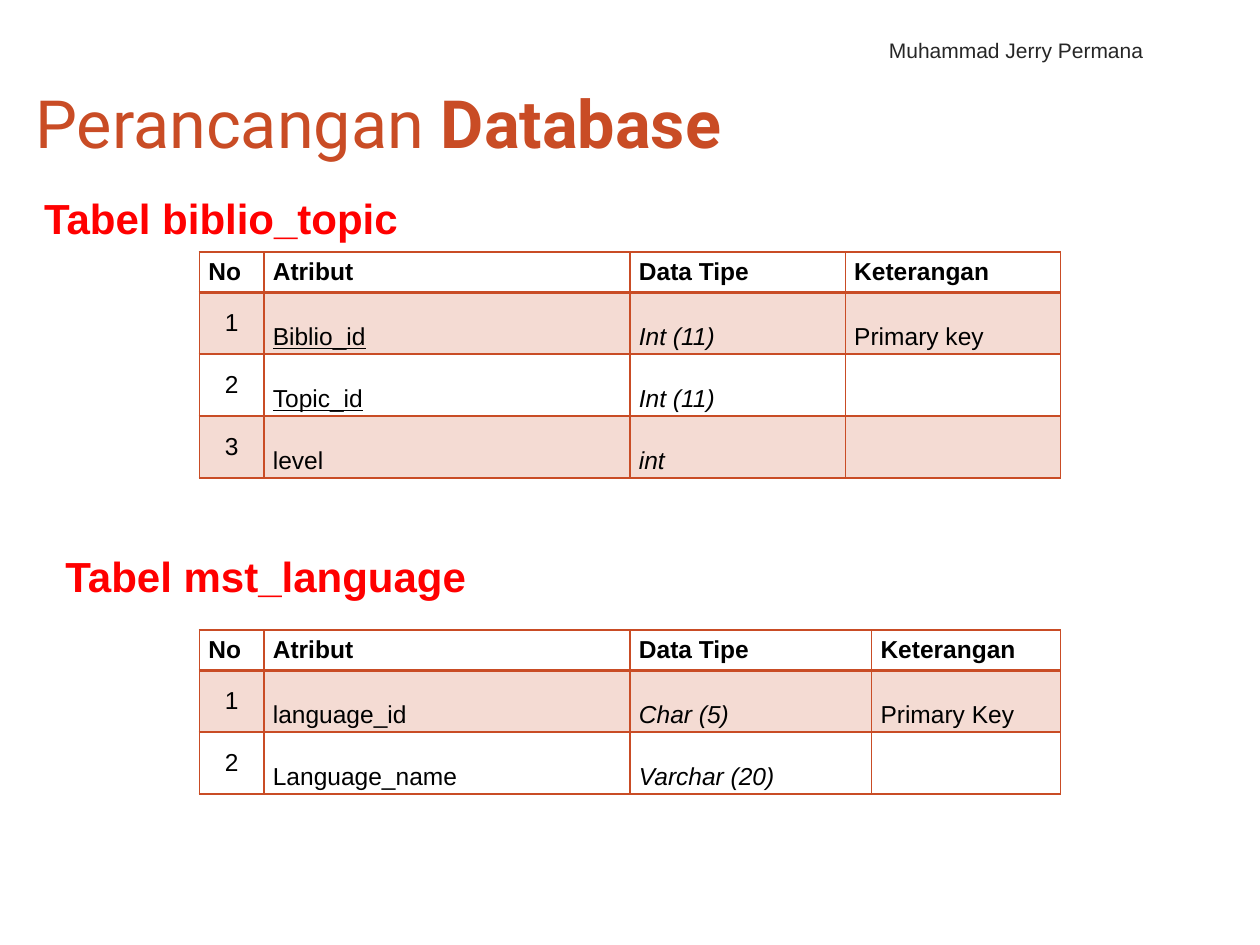
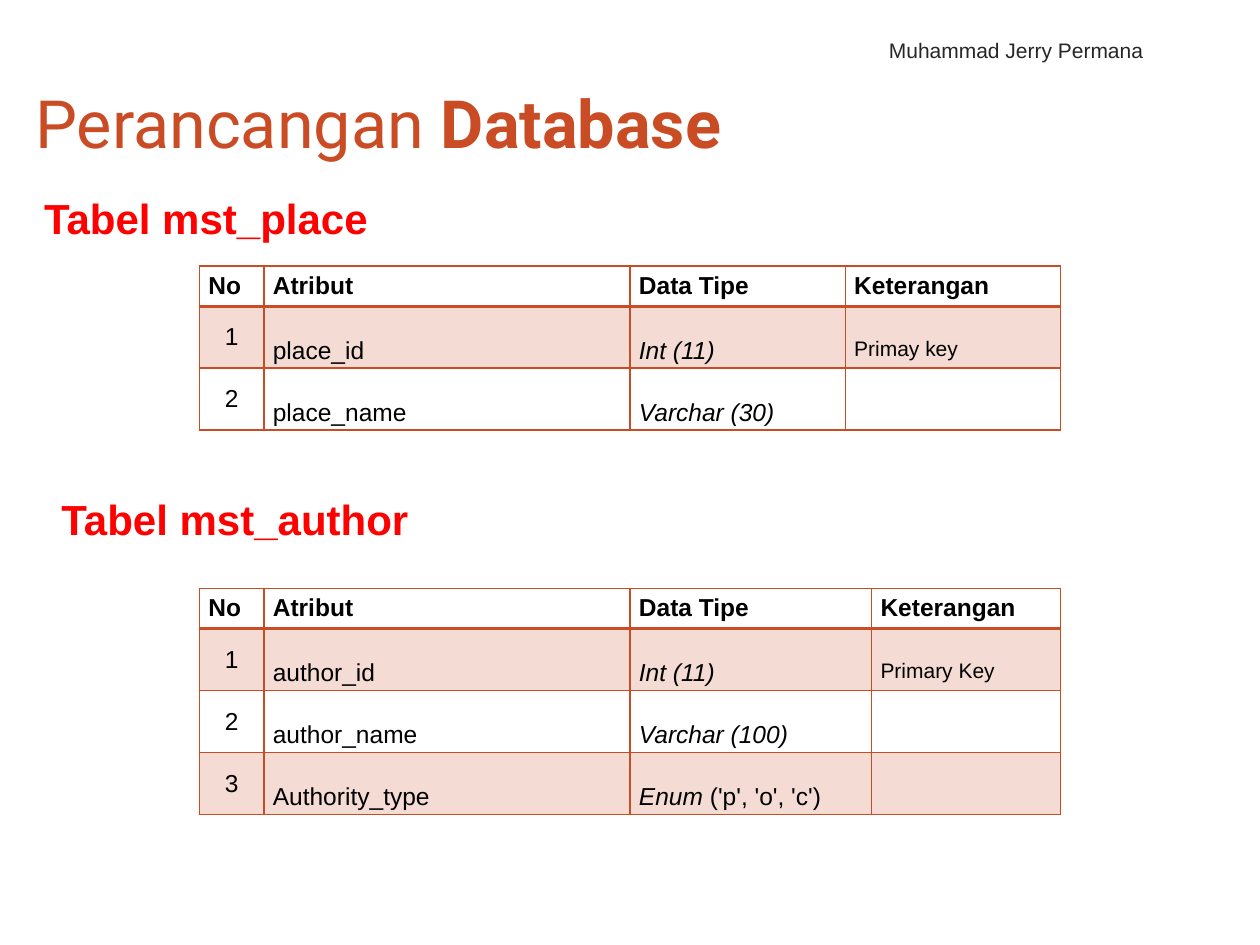
from lxml.etree import SubElement
from pptx import Presentation
from pptx.dml.color import RGBColor
from pptx.enum.text import MSO_ANCHOR, MSO_AUTO_SIZE, PP_ALIGN
from pptx.oxml.ns import qn
from pptx.util import Cm, Pt

ACCENT, RED, BLACK, GREY = "C94C25", "FF0000", "000000", "262626"
TITLE = ("Perancangan ", "Database")
AUTHOR = "Muhammad Jerry Permana"
HEADER = ("No", "Atribut", "Data Tipe", "Keterangan")
UNDERLINED = {"Biblio_id", "Topic_id"}

# Everything below is in centimetres
TABLE_LEFT = 4.02
HEADER_HEIGHT, ROW_HEIGHT = 0.81, 1.25
EVEN_COLUMNS = (1.3, 7.38, 4.34, 4.34)
WIDE_TYPE_COLUMNS = (1.3, 7.38, 4.87, 3.81)

# Each row: attribute, data type (italic part, upright part), remark
SLIDES = [
    {"remark_size": 14, "sections": [
        {"heading": "Tabel biblio_topic", "at": (0.64, 3.25),
         "table_top": 5.08, "columns": EVEN_COLUMNS,
         "rows": [("Biblio_id", ("Int (11)",), "Primary key"),
                  ("Topic_id", ("Int (11)",), ""),
                  ("level", ("int",), "")]},
        {"heading": "Tabel mst_language", "at": (1.07, 10.46),
         "table_top": 12.7, "columns": WIDE_TYPE_COLUMNS,
         "rows": [("language_id", ("Char (5)",), "Primary Key"),
                  ("Language_name", ("Varchar (20)",), "")]},
    ]},
    {"remark_size": 12, "sections": [
        {"heading": "Tabel mst_place", "at": (0.64, 3.25),
         "table_top": 5.36, "columns": EVEN_COLUMNS,
         "rows": [("place_id", ("Int (11)",), "Primay key"),
                  ("place_name", ("Varchar (30)",), "")]},
        {"heading": "Tabel mst_author", "at": (0.99, 9.32),
         "table_top": 11.86, "columns": WIDE_TYPE_COLUMNS,
         "rows": [("author_id", ("Int (11)",), "Primary Key"),
                  ("author_name", ("Varchar (100)",), ""),
                  ("Authority_type", ("Enum ", "('p', 'o', 'c')"), "")]},
    ]},
]


def rgb(color):
    return RGBColor.from_string(color)


def add_span(para, text, size, color=BLACK, font="Arial",
             bold=False, italic=False, underline=False):
    span = para.add_run()
    span.text = text
    span.font.name, span.font.size = font, Pt(size)
    span.font.color.rgb = rgb(color)
    span.font.bold, span.font.italic = bold, italic
    span.font.underline = underline


def add_box(page, left, top, width, height, anchor=MSO_ANCHOR.TOP):
    frame = page.shapes.add_textbox(
        Cm(left), Cm(top), Cm(width), Cm(height)).text_frame
    frame.word_wrap = True
    frame.vertical_anchor = anchor
    return frame


def add_title_and_author(page):
    frame = add_box(page, 0.2, 1.35, 15.67, 2.21, MSO_ANCHOR.MIDDLE)
    frame.margin_left, frame.margin_right = Cm(0.51), 0
    for text, bold in zip(TITLE, (False, True)):
        add_span(frame.paragraphs[0], text, 38, ACCENT, "Roboto", bold)

    frame = add_box(page, 15.88, 0.48, 7.42, 0.91, MSO_ANCHOR.BOTTOM)
    frame.paragraphs[0].alignment = PP_ALIGN.RIGHT
    add_span(frame.paragraphs[0], AUTHOR, 12, GREY)


def add_heading(page, text, left, top):
    frame = add_box(page, left, top, 22.66, 1.6)
    frame.auto_size = MSO_AUTO_SIZE.SHAPE_TO_FIT_TEXT
    frame.paragraphs[0].line_spacing = 1.5
    add_span(frame.paragraphs[0], text, 24, RED, bold=True)


def style_cell(cell, row):
    """Draw the borders, then tint the odd body rows."""
    properties = cell._tc.get_or_add_tcPr()
    for side in "LRTB":
        heavy = (row, side) in {(0, "B"), (1, "T")}
        line = SubElement(properties, qn(f"a:ln{side}"),
                          w=str(Pt(2 if heavy else 1)))
        SubElement(SubElement(line, qn("a:solidFill")),
                   qn("a:srgbClr"), val=ACCENT)
    if row % 2:
        cell.fill.solid()
        cell.fill.fore_color.rgb = rgb(ACCENT)
        tint = properties.find(f"{qn('a:solidFill')}/{qn('a:srgbClr')}")
        SubElement(tint, qn("a:alpha"), val="20000")
    else:
        cell.fill.background()


def prepare_cell(cell, roomy):
    """Set margins and spacing; return the paragraph to write in."""
    cell.vertical_anchor = MSO_ANCHOR.MIDDLE
    cell.margin_left = cell.margin_right = Cm(0.18)
    cell.margin_top = cell.margin_bottom = Cm(0 if roomy else 0.08)
    para = cell.text_frame.paragraphs[0]
    if roomy:
        para.line_spacing = 2.0
    return para


def add_attribute_table(page, top, columns, rows, remark_size):
    heights = [HEADER_HEIGHT] + [ROW_HEIGHT] * len(rows)
    table = page.shapes.add_table(
        len(heights), len(columns), Cm(TABLE_LEFT), Cm(top),
        Cm(sum(columns)), Cm(sum(heights))).table
    table.first_row = table.horz_banding = False
    for column, width in zip(table.columns, columns):
        column.width = Cm(width)
    for number, height in enumerate(heights):
        table.rows[number].height = Cm(height)
        for cell in table.rows[number].cells:
            style_cell(cell, number)

    for cell, label in zip(table.rows[0].cells, HEADER):
        add_span(prepare_cell(cell, False), label, 14, bold=True)
    for number, (attribute, data_type, remark) in enumerate(rows, 1):
        number_cell, *body_cells = table.rows[number].cells
        para = prepare_cell(number_cell, False)
        para.alignment = PP_ALIGN.CENTER
        add_span(para, str(number), 14)

        name_cell, type_cell, remark_cell = body_cells
        add_span(prepare_cell(name_cell, True), attribute, 14,
                 underline=attribute in UNDERLINED)
        para = prepare_cell(type_cell, True)
        for text, italic in zip(data_type, (True, False)):
            add_span(para, text, 14, italic=italic)
        if remark:
            add_span(prepare_cell(remark_cell, True), remark, remark_size)


def main():
    deck = Presentation()
    deck.slide_width, deck.slide_height = Cm(25.4), Cm(19.05)
    for content in SLIDES:
        page = deck.slides.add_slide(deck.slide_layouts[6])
        add_title_and_author(page)
        for section in content["sections"]:
            add_heading(page, section["heading"], *section["at"])
            add_attribute_table(page, section["table_top"], section["columns"],
                                section["rows"], content["remark_size"])
    deck.save("out.pptx")


if __name__ == "__main__":
    main()
